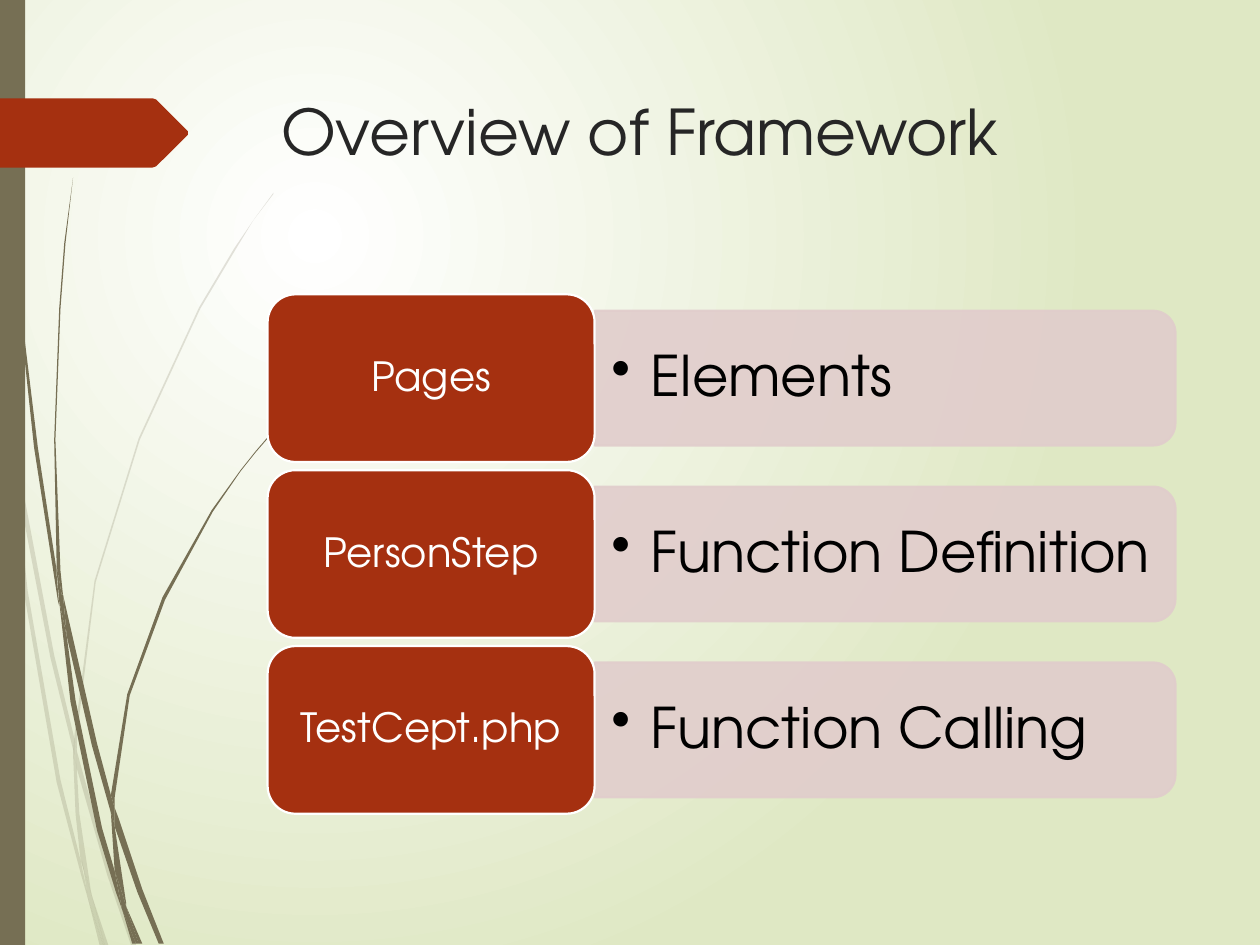
from lxml import etree
from pptx import Presentation
from pptx.dml.color import RGBColor
from pptx.enum.shapes import MSO_SHAPE
from pptx.enum.text import MSO_ANCHOR, MSO_AUTO_SIZE, PP_ALIGN
from pptx.oxml.ns import qn
from pptx.util import Pt

RECT = MSO_SHAPE.RECTANGLE
CARD = MSO_SHAPE.ROUNDED_RECTANGLE
BAR = MSO_SHAPE.ROUND_2_SAME_RECTANGLE
TOP, MIDDLE = MSO_ANCHOR.TOP, MSO_ANCHOR.MIDDLE
LEFT, CENTER = PP_ALIGN.LEFT, PP_ALIGN.CENTER
FIXED = MSO_AUTO_SIZE.NONE

FONT = "TeX Gyre Adventor"
COLORS = {
    "white": "FFFFFF", "green": "DFE8C4", "olive": "766F54", "red": "A53010",
    "pink": "E1CDCC", "dark": "262626", "black": "000000",
}
ROWS = [
    ("Pages", "Elements"),
    ("PersonStep", "Function Definition"),
    ("TestCept.php", "Function Calling"),
]
ROW_TOP, ROW_STEP = 168.2, 100.5
CARD_H, BAR_W, BAR_H = 95.8, 331.9, 77
SPLIT = 339.8  # where cards end and bars begin

# Outline points of the grass, in units of 0.72 pt
UNIT = Pt(0.72)
PALE = [
    [(8, 350), (6, 322), (0, 282), (0, 299), (7, 344)],
    [(40, 522), (59, 599), (59, 586), (43, 520), (10, 345), (12, 376)],
    [(64, 607), (61, 596), (61, 610), (85, 694), (104, 750), (108, 750), (88, 692)],
    [(83, 750), (86, 750), (73, 711)],
    [(64, 683), (48, 619), (22, 469), (12, 376), (8, 350), (19, 470), (45, 621),
     (64, 693), (70, 714), (69, 707)],
    [(58, 599), (60, 646), (64, 683), (67, 692), (73, 711), (72, 706), (63, 646),
     (61, 610), (61, 608)],
    [(61, 584), (76, 462), (111, 349), (159, 245), (187, 198), (201, 175),
     (217, 154), (217, 153), (201, 175), (186, 197), (158, 244), (110, 348),
     (75, 461), (59, 584), (59, 586), (61, 596)],
    [(70, 714), (79, 750), (82, 750)],
    [(61, 608), (61, 610), (61, 596), (59, 586), (58, 599)],
    [(67, 692), (65, 683), (69, 707), (70, 714), (82, 750), (83, 750), (73, 711)],
]
DEEP = [
    [(5, 110), (14, 233), (27, 355), (46, 477), (47, 481), (45, 457), (45, 453),
     (30, 355), (15, 232), (6, 109), (4, 48), (3, 0), (2, 0), (3, 48)],
    [(73, 592), (88, 645), (88, 633), (88, 631), (77, 590), (50, 472), (53, 505)],
    [(94, 649), (91, 641), (91, 656), (109, 708), (126, 749), (130, 749), (113, 706)],
    [(91, 691), (81, 657), (60, 556), (53, 505), (47, 477), (56, 557), (77, 659),
     (92, 708), (97, 722), (96, 717)],
    [(50, 472), (48, 453), (44, 349), (48, 245), (52, 193), (58, 141), (57.5, 141),
     (51, 193), (47, 245), (43, 349), (45, 449), (49, 472)],
    [(110, 749), (113, 749), (100, 719)],
    [(47, 477), (53, 505), (50, 472), (49, 472), (45, 449), (45, 453)],
    [(91, 633), (103, 552), (131, 476), (169, 406), (191, 374), (203, 359),
     (216, 344), (215, 344), (203, 358), (191, 373), (168, 405), (129, 474),
     (101, 551), (88, 631), (91, 641)],
    [(97, 722), (105, 749), (108, 749)],
    [(88, 645), (91, 691), (96, 706), (100, 719), (100, 716), (91, 656), (90, 651)],
    [(88, 645), (90, 651), (91, 656), (91, 641), (88, 631), (88, 633)],
    [(96, 706), (91, 691), (96, 717), (97, 722), (108, 749), (110, 749), (100, 719)],
]
ARROW = [(149, 107), (124, 132), (121, 133), (0, 133), (0, 78), (121, 78),
         (124, 79), (149, 104)]


def rgb(name):
    return RGBColor.from_string(COLORS[name])


def paint(fill, color, alpha=100):
    """Set a solid fill, with its opacity in percent."""
    fill.solid()
    fill.fore_color.rgb = rgb(color)
    if alpha < 100:
        for node in fill._xPr.iter(qn("a:solidFill")):
            etree.SubElement(node[0], qn("a:alpha"), val=str(alpha * 1000))


def style(shape, color, alpha=100, edge=None):
    shape.shadow.inherit = False
    paint(shape.fill, color, alpha)
    if edge:
        shape.line.width = Pt(1.25)
        paint(shape.line.fill, edge, alpha)
    else:
        shape.line.fill.background()


def block(slide, kind, box, color, **look):
    shape = slide.shapes.add_shape(kind, *map(Pt, box))
    style(shape, color, **look)
    return shape


def outline(shapes, points, color, alpha=100):
    pen = shapes.build_freeform(*points[0], scale=UNIT)
    pen.add_line_segments(points[1:], close=True)
    style(pen.convert_to_shape(), color, alpha)


def write(shape, text, size, color, align=LEFT, anchor=MIDDLE,
          pad=(7.2, 3.6), lines=1.0, bullet=False):
    frame = shape.text_frame
    frame.word_wrap = True
    frame.auto_size = FIXED
    frame.vertical_anchor = anchor
    frame.margin_left = frame.margin_right = Pt(pad[0])
    frame.margin_top = frame.margin_bottom = Pt(pad[1])
    para = frame.paragraphs[0]
    para.alignment = align
    para.line_spacing = lines
    run = para.add_run()
    run.text = text
    run.font.name = FONT
    run.font.size = Pt(size)
    run.font.color.rgb = rgb(color)
    if bullet:
        props = para._p.get_or_add_pPr()
        props.set("marL", str(Pt(22.5)))
        props.set("indent", str(-Pt(22.5)))
        etree.SubElement(props, qn("a:buChar"), char="•")


def backdrop(slide):
    """Radial fade from white to green."""
    fill = slide.background.fill
    fill.gradient()
    for stop, color in zip(fill.gradient_stops, ("white", "green")):
        stop.color.rgb = rgb(color)
    grad = next(slide.element.iter(qn("a:gradFill")))
    for lin in grad.findall(qn("a:lin")):
        grad.remove(lin)
    ring = etree.SubElement(grad, qn("a:path"))
    ring.set("path", "circle")
    etree.SubElement(ring, qn("a:fillToRect"),
                     l="50000", t="50000", r="100000", b="100000")


def grass(slide):
    for blades, alpha in ((PALE, 20), (DEEP, 100)):
        group = slide.shapes.add_group_shape()
        for points in blades:
            outline(group.shapes, points, "olive", alpha)


def row(slide, top, name, detail):
    mid = top + CARD_H / 2
    # The bar is an upright shape turned a quarter
    bar = block(slide, BAR, (SPLIT + (BAR_W - BAR_H) / 2, mid - BAR_W / 2,
                             BAR_H, BAR_W), "pink", alpha=90, edge="pink")
    bar.rotation = 90
    note = slide.shapes.add_textbox(*map(Pt, (SPLIT, mid - 34.6, 328.3, 69.2)))
    write(note, detail, 32, "black", pad=(9.6, 4.8), lines=0.9, bullet=True)
    card = block(slide, CARD, (152.9, top, SPLIT - 152.9, CARD_H), "red", edge="white")
    write(card, name, 23, "white", align=CENTER, lines=0.9)


def main():
    deck = Presentation()
    deck.slide_width, deck.slide_height = Pt(720), Pt(540)
    slide = deck.slides.add_slide(deck.slide_layouts[5])

    # Scenery
    backdrop(slide)
    grass(slide)
    block(slide, RECT, (0, 0, 14.4, 540), "olive")
    outline(slide.shapes, ARROW, "red")

    # Title
    title = slide.shapes.title
    title.left, title.top, title.width, title.height = map(Pt, (153.4, 49, 519, 100.8))
    write(title, "Overview of Framework", 36, "dark", anchor=TOP)

    # Rows
    for i, (name, detail) in enumerate(ROWS):
        row(slide, ROW_TOP + i * ROW_STEP, name, detail)

    deck.save("out.pptx")


if __name__ == "__main__":
    main()
